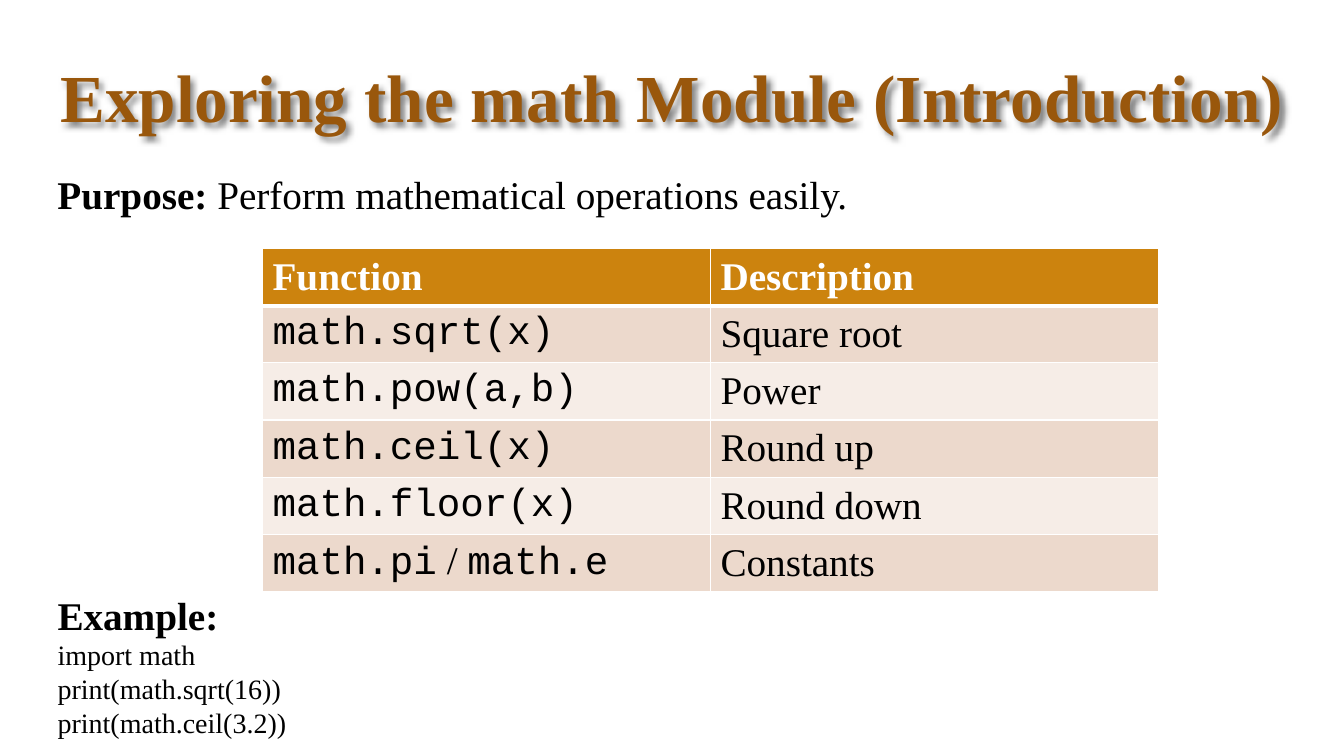
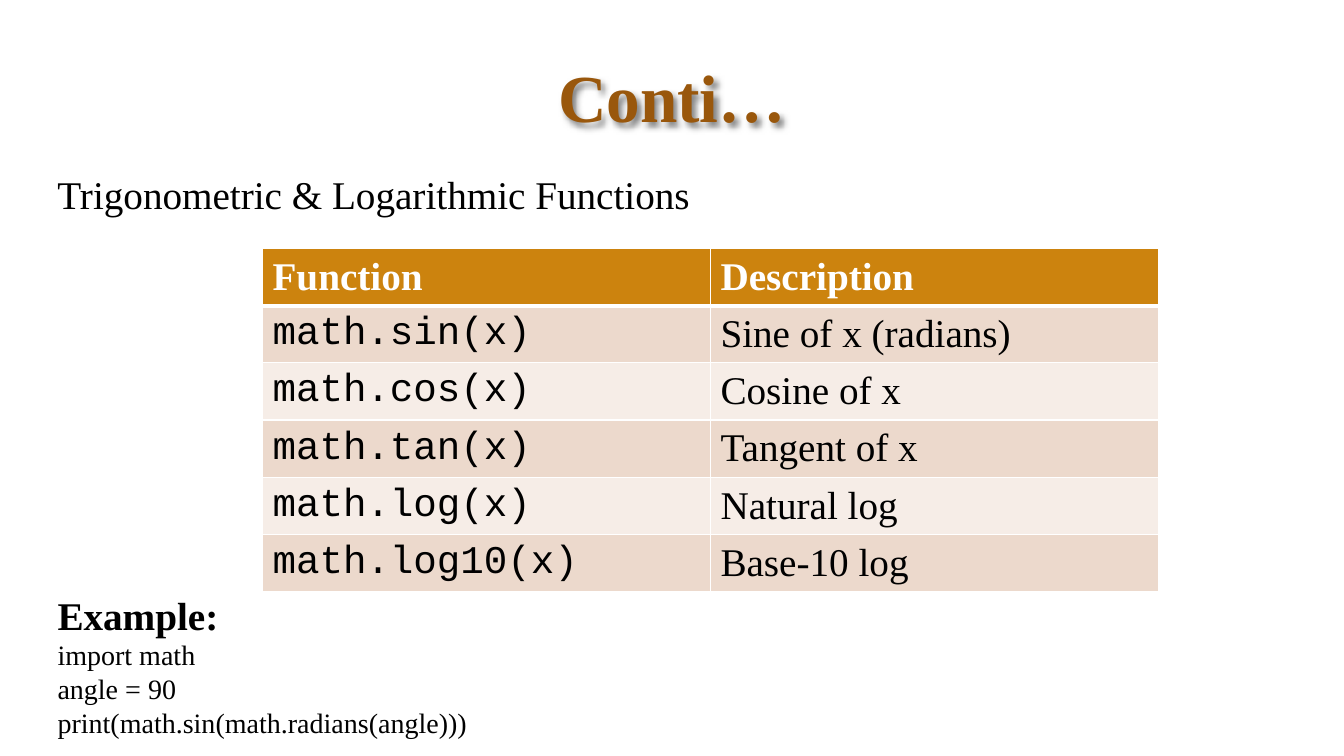
from pptx import Presentation
from pptx.dml.color import RGBColor
from pptx.enum.text import MSO_ANCHOR, MSO_AUTO_SIZE, PP_ALIGN
from pptx.oxml import parse_xml
from pptx.oxml.ns import nsdecls
from pptx.util import Pt

BOTTOM, MIDDLE = MSO_ANCHOR.BOTTOM, MSO_ANCHOR.MIDDLE
FIXED, GROW = MSO_AUTO_SIZE.NONE, MSO_AUTO_SIZE.SHAPE_TO_FIT_TEXT
CENTER = PP_ALIGN.CENTER
TITLE_ONLY = 5

COLORS = {
    "title": "99570C",
    "outline": "404040",
    "shadow": "000000",
    "text": "000000",
    "header": "CC830E",
    "band_dark": "ECD9CC",
    "band_light": "F6EDE7",
    "white": "FFFFFF",
}
SERIF, MONO = "Times New Roman", "Courier New"
TITLE = {"name": SERIF, "size": Pt(48), "bold": True}
LEAD = {"name": SERIF, "size": Pt(28), "bold": False}
LABEL = {**LEAD, "bold": True}
CODE = {**LEAD, "name": MONO}
LISTING = {**LEAD, "size": Pt(20)}

HEADER = ("Function", "Description")
SEPARATOR = " / "


def solid_fill(color, alpha=100):
    return (f'<a:solidFill><a:srgbClr val="{COLORS[color]}">'
            f'<a:alpha val="{alpha * 1000}"/></a:srgbClr></a:solidFill>')


class Deck:
    width, height = Pt(960), Pt(540)
    left = Pt(34)

    def __init__(self):
        self.presentation = Presentation()
        self.presentation.slide_width = self.width
        self.presentation.slide_height = self.height
        self.slide = None

    def add_runs(self, paragraph, runs, color="text"):
        for text, style in runs:
            run = paragraph.add_run()
            run.text = text
            for attribute, value in style.items():
                setattr(run.font, attribute, value)
            run.font.color.rgb = RGBColor.from_string(COLORS[color])

    def add_slide(self, heading):
        layout = self.presentation.slide_layouts[TITLE_ONLY]
        self.slide = self.presentation.slides.add_slide(layout)
        title = self.slide.shapes.title
        place = {"left": 0, "top": Pt(8), "width": self.width, "height": Pt(93.6)}
        for attribute, value in place.items():
            setattr(title, attribute, value)
        frame = title.text_frame
        frame.vertical_anchor = BOTTOM
        frame.auto_size = FIXED
        paragraph = frame.paragraphs[0]
        paragraph.alignment = CENTER
        paragraph.line_spacing = 0.9
        self.add_runs(paragraph, [(heading, TITLE)], "title")
        outline = parse_xml(f'<a:ln {nsdecls("a")} w="{Pt(0.75)}">'
                            f'{solid_fill("outline", 10)}</a:ln>')
        paragraph.runs[0]._r.get_or_add_rPr().insert(0, outline)
        title._element.spPr.append(parse_xml(
            f'<a:effectLst {nsdecls("a")}><a:outerShdw blurRad="{Pt(4)}" dist="{Pt(3)}" '
            f'dir="2700000" algn="tl" rotWithShape="0"><a:srgbClr val="{COLORS["shadow"]}">'
            f'<a:alpha val="50000"/></a:srgbClr></a:outerShdw></a:effectLst>'))

    def add_text(self, top, width, height, lines):
        box = self.slide.shapes.add_textbox(self.left, top, width, height)
        frame = box.text_frame
        frame.word_wrap = True
        frame.auto_size = GROW
        for index, runs in enumerate(lines):
            paragraph = frame.add_paragraph() if index else frame.paragraphs[0]
            self.add_runs(paragraph, runs)

    def add_lead(self, runs):
        self.add_text(Pt(118), Pt(595), Pt(41), [runs])

    def add_example(self, width, code):
        lines = [[("Example:", LABEL)]] + [[(line, LISTING)] for line in code]
        self.add_text(Pt(418.5), width, Pt(114), lines)

    def add_border(self, cell, top, bottom):
        properties = cell._tc.get_or_add_tcPr()
        sides = {"lnL": 1, "lnR": 1, "lnT": top, "lnB": bottom}
        for index, (side, weight) in enumerate(sides.items()):
            properties.insert(index, parse_xml(
                f'<a:{side} {nsdecls("a")} w="{Pt(weight)}">{solid_fill("white")}</a:{side}>'))

    def fill_cell(self, cell, runs, row):
        cell.vertical_anchor = MIDDLE
        cell.fill.solid()
        band = "band_dark" if row % 2 else "band_light"
        fill = band if row else "header"
        cell.fill.fore_color.rgb = RGBColor.from_string(COLORS[fill])
        self.add_border(cell, 3 if row == 1 else 1, 1 if row else 3)
        self.add_runs(cell.text_frame.paragraphs[0], runs, "text" if row else "white")

    def add_functions(self, functions):
        count = len(functions) + 1
        row_height, column_width = Pt(40.8), Pt(320)
        table = self.slide.shapes.add_table(
            count, 2, Pt(187.5), Pt(177.5), column_width * 2, row_height * count).table
        for row in table.rows:
            row.height = row_height
        for column, label in enumerate(HEADER):
            self.fill_cell(table.cell(0, column), [(label, LABEL)], 0)
        for row, (names, description) in enumerate(functions, 1):
            first, *others = names.split(SEPARATOR)
            runs = [(first, CODE)]
            for name in others:
                runs += [(SEPARATOR, LEAD), (name, CODE)]
            self.fill_cell(table.cell(row, 0), runs, row)
            self.fill_cell(table.cell(row, 1), [(description, LEAD)], row)


def main():
    deck = Deck()

    deck.add_slide("Exploring the math Module (Introduction)")
    deck.add_lead([("Purpose:", LABEL), (" Perform mathematical operations easily.", LEAD)])
    deck.add_functions([
        ("math.sqrt(x)", "Square root"),
        ("math.pow(a,b)", "Power"),
        ("math.ceil(x)", "Round up"),
        ("math.floor(x)", "Round down"),
        ("math.pi / math.e", "Constants"),
    ])
    deck.add_example(Pt(292), ["import math", "print(math.sqrt(16))", "print(math.ceil(3.2))"])

    deck.add_slide("Conti…")
    deck.add_lead([("Trigonometric & Logarithmic Functions", LEAD)])
    deck.add_functions([
        ("math.sin(x)", "Sine of x (radians)"),
        ("math.cos(x)", "Cosine of x"),
        ("math.tan(x)", "Tangent of x"),
        ("math.log(x)", "Natural log"),
        ("math.log10(x)", "Base-10 log"),
    ])
    deck.add_example(Pt(372), ["import math", "angle = 90", "print(math.sin(math.radians(angle)))"])

    deck.presentation.save("out.pptx")


if __name__ == "__main__":
    main()
